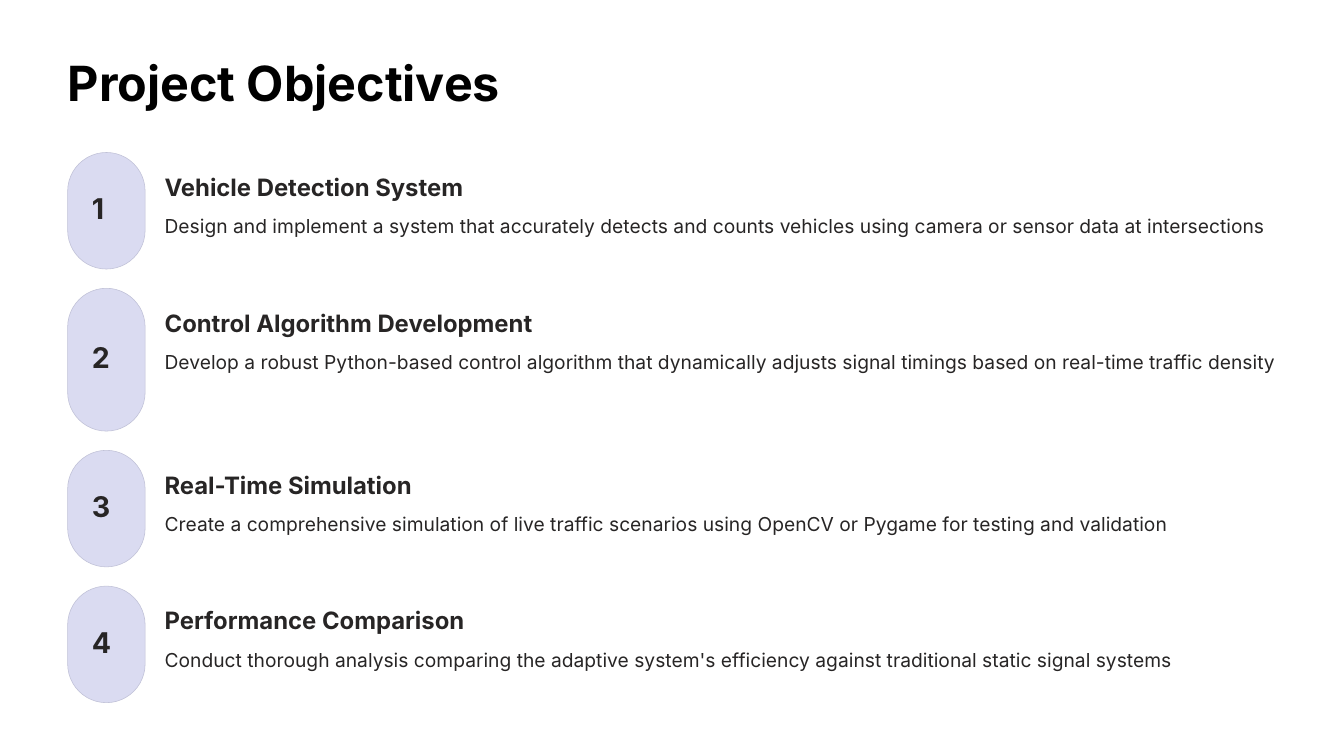
from pptx import Presentation
from pptx.dml.color import RGBColor
from pptx.enum.shapes import MSO_SHAPE
from pptx.enum.text import MSO_ANCHOR, MSO_AUTO_SIZE, PP_ALIGN
from pptx.util import Pt

TITLE = "Project Objectives"
# heading, description, lines the description takes
OBJECTIVES = [
    ("Vehicle Detection System",
     "Design and implement a system that accurately detects and counts vehicles "
     "using camera or sensor data at intersections", 1),
    ("Control Algorithm Development",
     "Develop a robust Python-based control algorithm that dynamically adjusts "
     "signal timings based on real-time traffic density", 2),
    ("Real-Time Simulation",
     "Create a comprehensive simulation of live traffic scenarios using OpenCV "
     "or Pygame for testing and validation", 1),
    ("Performance Comparison",
     "Conduct thorough analysis comparing the adaptive system's efficiency "
     "against traditional static signal systems", 1),
]

FONT = "Inter"
WHITE = RGBColor(0xFF, 0xFF, 0xFF)
BLACK = RGBColor(0, 0, 0)
INK = RGBColor(0x27, 0x25, 0x25)
LAVENDER = RGBColor(0xDA, 0xDB, 0xF1)
OUTLINE = RGBColor(0xC0, 0xC1, 0xD7)

SLIDE_W, SLIDE_H = 1440, 810
MARGIN, FIRST_TOP, GAP = 72.5, 163.4, 20.6
PILL_W = 83
PILL_H = {1: 124.9, 2: 153}
BODY_H = {1: 41, 2: 74}
NUMBER_X, NUMBER_W, NUMBER_H = 98.6, 31, 34.6
TEXT_X, TEXT_W = 176.4, 1191


def write(sp, text, size, spacing, color=INK, bold=False):
    tf = sp.text_frame
    tf.word_wrap = True
    tf.auto_size = MSO_AUTO_SIZE.NONE
    tf.vertical_anchor = MSO_ANCHOR.TOP
    tf.margin_left = tf.margin_right = tf.margin_top = tf.margin_bottom = 0
    p = tf.paragraphs[0]
    p.alignment = PP_ALIGN.LEFT
    p.line_spacing = Pt(spacing)
    p.space_before = Pt(0)
    r = p.add_run()
    r.text = text
    r.font.name, r.font.size, r.font.bold = FONT, Pt(size), bold
    r.font.color.rgb = color


def add_text(s, x, y, w, h, text, **fmt):
    write(s.shapes.add_textbox(Pt(x), Pt(y), Pt(w), Pt(h)), text, **fmt)


def add_pill(s, y, h):
    sp = s.shapes.add_shape(MSO_SHAPE.ROUNDED_RECTANGLE,
                            Pt(MARGIN), Pt(y), Pt(PILL_W), Pt(h))
    sp.adjustments[0] = 0.5
    sp.shadow.inherit = False
    sp.fill.solid()
    sp.fill.fore_color.rgb = LAVENDER
    sp.line.color.rgb = OUTLINE
    sp.line.width = Pt(0.6)


def main():
    prs = Presentation()
    prs.slide_width, prs.slide_height = Pt(SLIDE_W), Pt(SLIDE_H)
    s = prs.slides.add_slide(prs.slide_layouts[5])
    s.background.fill.solid()
    s.background.fill.fore_color.rgb = WHITE

    title = s.shapes.title
    title.left, title.top, title.width, title.height = (
        Pt(MARGIN), Pt(54.7), Pt(519), Pt(67))
    write(title, TITLE, size=51.9, spacing=64.4, color=BLACK, bold=True)

    y = FIRST_TOP
    for number, (heading, body, lines) in enumerate(OBJECTIVES, 1):
        h = PILL_H[lines]
        add_pill(s, y, h)
        add_text(s, NUMBER_X, y + (h - NUMBER_H) / 2 + 2.5, NUMBER_W, NUMBER_H,
                 str(number), size=30.6, spacing=30.6, bold=True)
        add_text(s, TEXT_X, y + 20.2, TEXT_W, 33, heading,
                 size=25.6, spacing=31.9, bold=True)
        add_text(s, TEXT_X, y + 58.3, TEXT_W, BODY_H[lines], body,
                 size=20.6, spacing=33.1)
        y += h + GAP

    prs.save("out.pptx")


if __name__ == "__main__":
    main()
